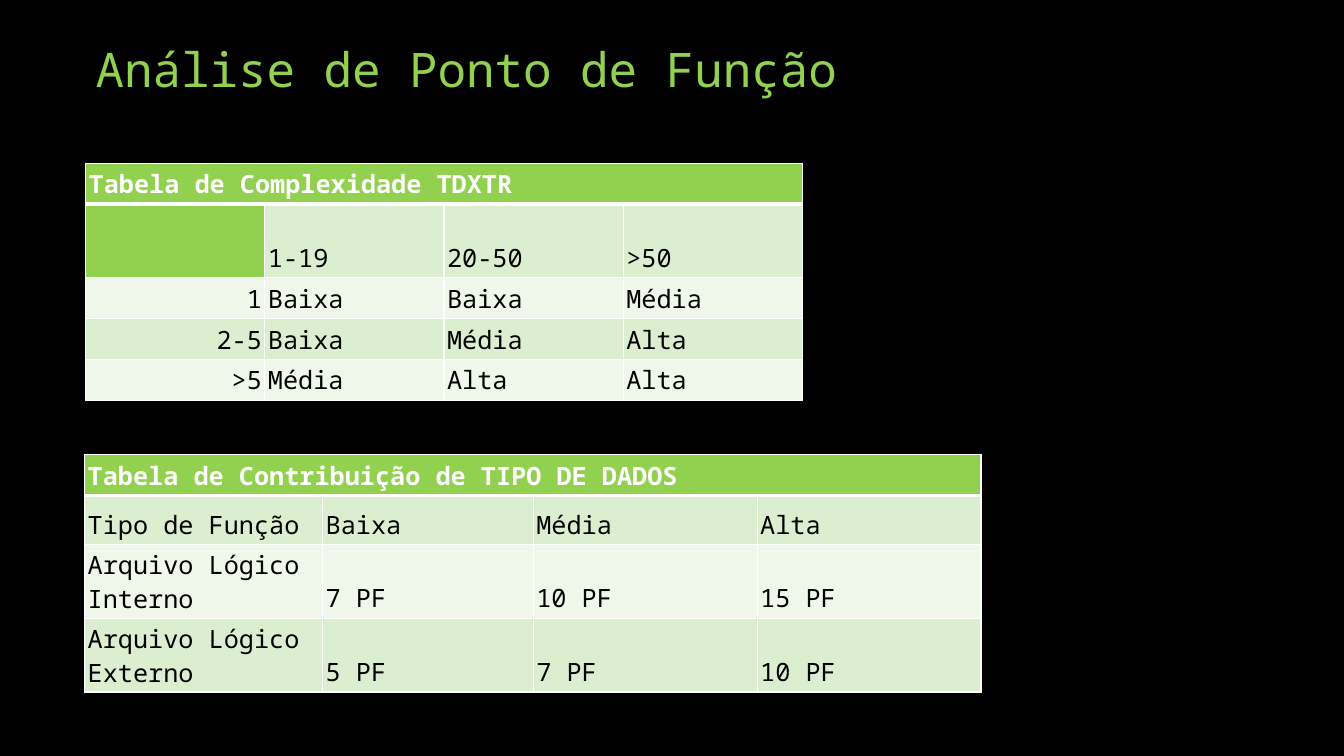
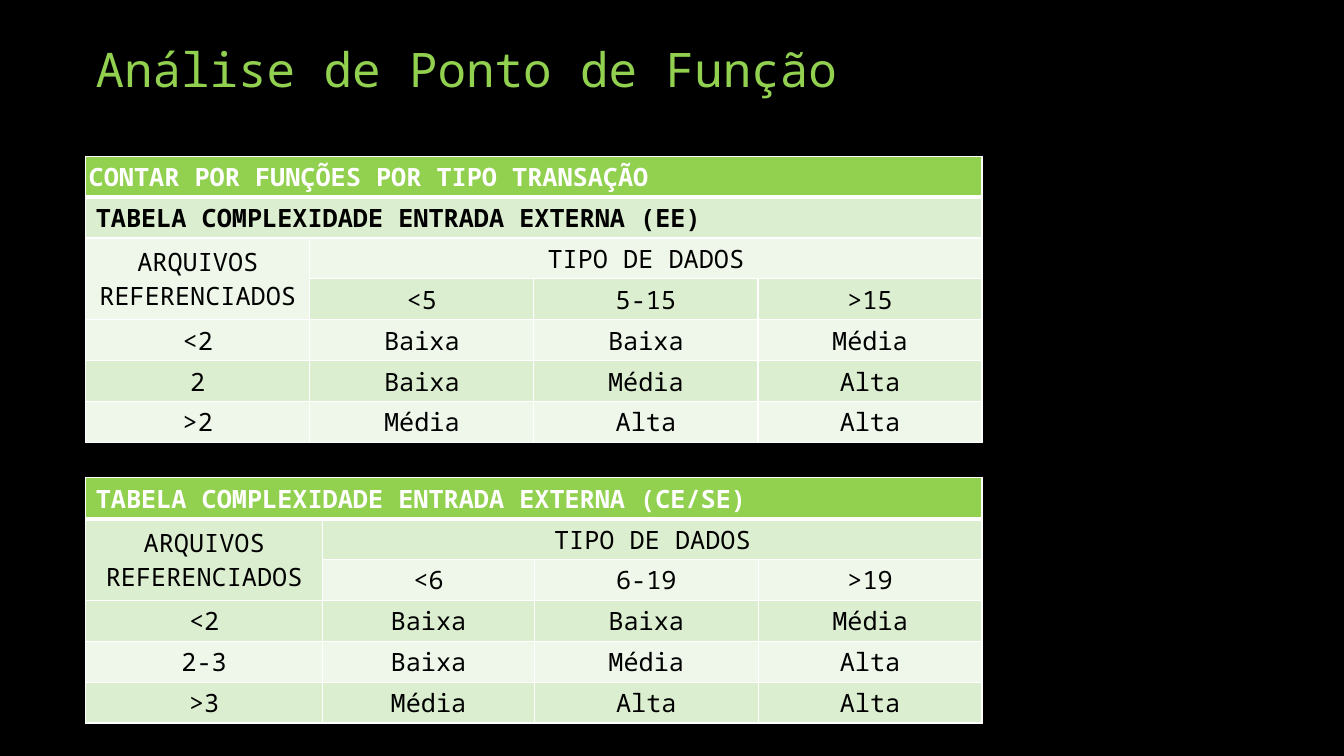
from dataclasses import dataclass
from typing import Any

from lxml import etree
from pptx import Presentation
from pptx import util as u
from pptx.dml.color import RGBColor
from pptx.enum import text
from pptx.oxml import ns

Align = text.PP_ALIGN
Anchor = text.MSO_ANCHOR


@dataclass(frozen=True)
class Theme:
    back: str = "000000"
    main: str = "92D050"
    bands: tuple[str, str] = ("EEF7E9", "DCEED0")
    ink: str = "000000"
    light: str = "FFFFFF"
    font: str = "Noto Sans Mono"
    head: float = 34
    body: float = 18
    thin: float = 1
    thick: float = 3
    pad: float = 0.03
    wide: float = 0.1
    row: float = 2.84 / 7


THEME = Theme()


@dataclass(frozen=True)
class Span:
    row: int
    col: int
    down: int
    across: int


@dataclass(frozen=True)
class Grid:
    """A table; a row with a single text spans every column."""
    left: float
    top: float
    cols: tuple[float, ...]
    rows: tuple[tuple[str, ...], ...]
    first: Any = Align.CENTER
    rest: Any = Align.CENTER
    tall: tuple[tuple[int, float], ...] = ()
    spans: tuple[Span, ...] = ()
    wide: int = -1


def apply(item: Any, form: dict[str, Any]) -> None:
    for name, value in form.items():
        setattr(item, name, value)


def write(frame: Any, words: str, size: float, color: str,
          bold: bool = False, align: Any = Align.LEFT) -> Any:
    para = frame.paragraphs[0]
    para.alignment = align
    if words:
        run = para.add_run()
        run.text = words
        apply(run.font, {"name": THEME.font, "size": u.Pt(size), "bold": bold})
        run.font.color.rgb = RGBColor.from_string(color)
    return para


def edge(cell: Any, widths: dict[str, float]) -> None:
    """Draws the cell borders; call it before the fill is set."""
    props = cell._tc.get_or_add_tcPr()
    for side, width in widths.items():
        line = etree.SubElement(props, ns.qn(f"a:ln{side}"), w=str(u.Pt(width)))
        fill = etree.SubElement(line, ns.qn("a:solidFill"))
        etree.SubElement(fill, ns.qn("a:srgbClr"), val=THEME.light)


def style(cell: Any, row: int, color: str, pad: float, anchor: Any) -> None:
    thin, thick = THEME.thin, THEME.thick
    edge(cell, {"L": thin, "R": thin,
                "T": thick if row == 1 else thin,
                "B": thick if row == 0 else thin})
    cell.fill.solid()
    cell.fill.fore_color.rgb = RGBColor.from_string(color)
    apply(cell, {
        "margin_left": u.Inches(pad), "margin_right": u.Inches(pad),
        "margin_top": u.Inches(THEME.pad), "margin_bottom": u.Inches(THEME.pad),
        "vertical_anchor": anchor,
    })


def draw(slide: Any, grid: Grid) -> None:
    count, span = len(grid.rows), len(grid.cols)
    tall = dict(grid.tall)
    highs = [tall.get(i, THEME.row) for i in range(count)]
    table = slide.shapes.add_table(
        count, span, u.Inches(grid.left), u.Inches(grid.top),
        u.Inches(sum(grid.cols)), u.Inches(sum(highs))).table
    apply(table, {"first_row": False, "horz_banding": False})
    for col, width in zip(table.columns, grid.cols):
        col.width = u.Inches(width)
    for row, high in zip(table.rows, highs):
        row.height = u.Inches(high)

    full = tuple(Span(r, 0, 1, span) for r, row in enumerate(grid.rows) if len(row) == 1)
    for area in full + grid.spans:
        last = table.cell(area.row + area.down - 1, area.col + area.across - 1)
        table.cell(area.row, area.col).merge(last)

    for r, row in enumerate(grid.rows):
        banner = len(row) == 1
        for c in range(span):
            cell = table.cell(r, c)
            words = row[c] if c < len(row) else ""
            blank = not words and not cell.is_spanned
            color = THEME.main if r == 0 or blank else THEME.bands[r % 2]
            high = cell.is_merge_origin and cell.span_height > 1
            style(cell, r, color, THEME.wide if r == grid.wide else THEME.pad,
                  Anchor.MIDDLE if high else Anchor.BOTTOM)
            side = grid.first if c == 0 else grid.rest
            write(cell.text_frame, words, THEME.body,
                  THEME.light if r == 0 else THEME.ink,
                  banner, Align.LEFT if banner else side)


def page(deck: Any, title: str, grids: tuple[Grid, ...]) -> None:
    slide = deck.slides.add_slide(deck.slide_layouts[6])
    fill = slide.background.fill
    fill.solid()
    fill.fore_color.rgb = RGBColor.from_string(THEME.back)
    box = slide.shapes.add_textbox(
        u.Inches(0.85), u.Inches(0.13), u.Inches(10), u.Inches(0.89))
    apply(box.text_frame, {"word_wrap": True, "vertical_anchor": Anchor.BOTTOM})
    write(box.text_frame, title, THEME.head, THEME.main).line_spacing = 0.9
    for grid in grids:
        draw(slide, grid)


def cross(top: float, cols: tuple[float, ...], heads: tuple[str, ...],
          ranges: tuple[str, ...], files: tuple[str, ...]) -> Grid:
    """Builds a grid of referenced files against data types."""
    base = len(heads)
    levels = (("Baixa", "Baixa", "Média"), ("Baixa", "Média", "Alta"),
              ("Média", "Alta", "Alta"))
    rows = (
        *((head,) for head in heads),
        ("ARQUIVOS REFERENCIADOS", "TIPO DE DADOS", "", ""),
        ("", *ranges),
        *((name, *level) for name, level in zip(files, levels)),
    )
    return Grid(0.85, top, cols, rows, wide=base - 1,
                spans=(Span(base, 0, 2, 1), Span(base, 1, 1, 3)))


DATA = (
    Grid(0.85, 1.62, (7.11 / 4,) * 4, (
        ("Tabela de Complexidade TDXTR",),
        ("", "1-19", "20-50", ">50"),
        ("1", "Baixa", "Baixa", "Média"),
        ("2-5", "Baixa", "Média", "Alta"),
        (">5", "Média", "Alta", "Alta"),
    ), Align.RIGHT, Align.LEFT, tall=((1, 0.73),)),
    Grid(0.84, 4.51, (2.36, 2.09, 2.22, 2.22), (
        ("Tabela de Contribuição de TIPO DE DADOS",),
        ("Tipo de Função", "Baixa", "Média", "Alta"),
        ("Arquivo Lógico Interno", "7 PF", "10 PF", "15 PF"),
        ("Arquivo Lógico Externo", "5 PF", "7 PF", "10 PF"),
    ), Align.LEFT, Align.LEFT, tall=((1, 0.49), (2, 0.73), (3, 0.73))),
)

MOVES = (
    cross(1.55, (8.89 / 4,) * 4,
          ("CONTAR POR FUNÇÕES POR TIPO TRANSAÇÃO",
           "TABELA COMPLEXIDADE ENTRADA EXTERNA (EE)"),
          ("<5", "5-15", ">15"), ("<2", "2", ">2")),
    cross(4.74, (2.35, 2.1, 2.22, 2.22),
          ("TABELA COMPLEXIDADE ENTRADA EXTERNA (CE/SE)",),
          ("<6", "6-19", ">19"), ("<2", "2-3", ">3")),
)


def main() -> None:
    deck = Presentation()
    apply(deck, {"slide_width": u.Inches(13.33), "slide_height": u.Inches(7.5)})
    for grids in (DATA, MOVES):
        page(deck, "Análise de Ponto de Função", grids)
    deck.save("out.pptx")


if __name__ == "__main__":
    main()
